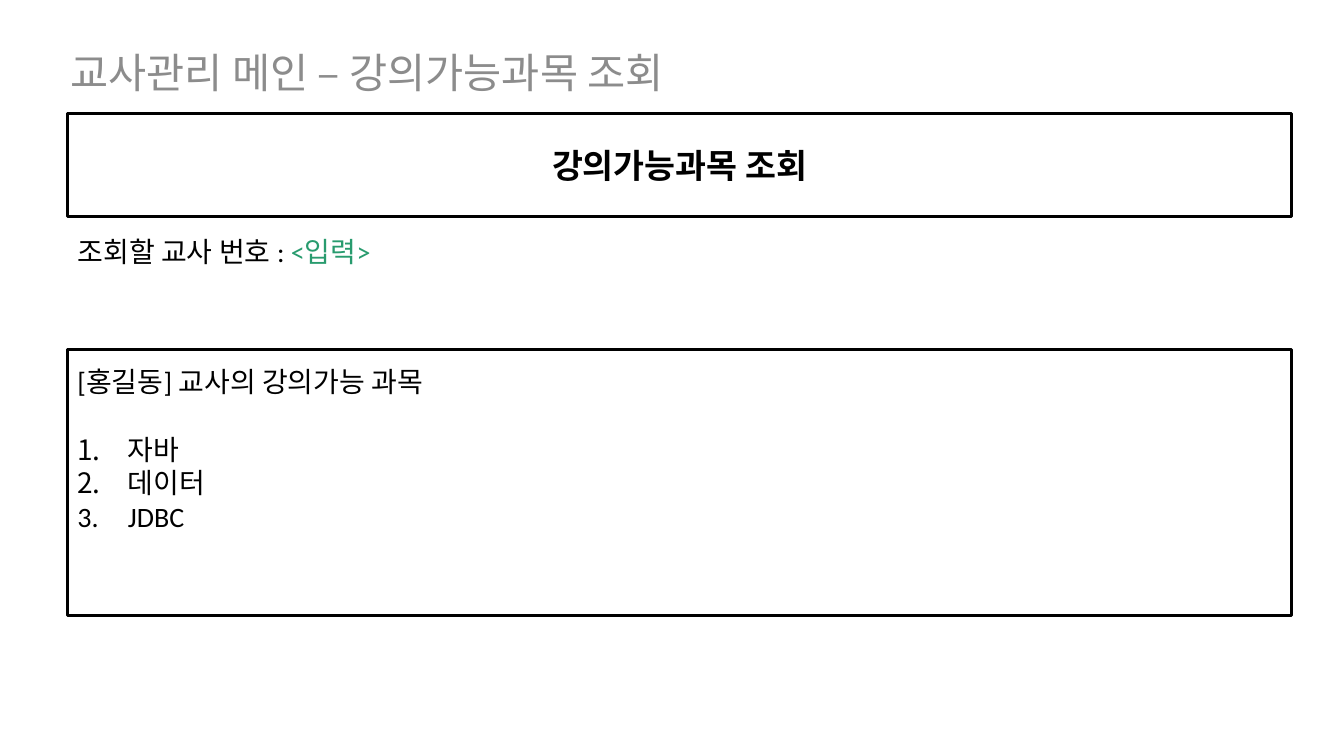
from dataclasses import dataclass

from lxml.etree import SubElement
from pptx import Presentation
from pptx.dml.color import RGBColor
from pptx.enum.shapes import MSO_SHAPE as Shape
from pptx.enum.text import MSO_ANCHOR as Anchor, MSO_AUTO_SIZE as AutoSize, PP_ALIGN as Align
from pptx.oxml.ns import qn
from pptx.util import Pt

PX = 9144  # 100 px to the inch


@dataclass(frozen=True)
class Theme:
    font: str = "Calibri"
    black: RGBColor = RGBColor(0x00, 0x00, 0x00)
    gray: RGBColor = RGBColor(0x8C, 0x8C, 0x8C)
    green: RGBColor = RGBColor(0x28, 0x9B, 0x6E)
    title_size: float = 29.6
    heading_size: int = 24
    body_size: int = 20
    border: float = 2.25


THEME = Theme()


def px(*lengths):
    return [length * PX for length in lengths]


def format_run(run, size, color, bold=False):
    run.font.name = THEME.font
    run.font.size = Pt(size)
    run.font.color.rgb = color
    run.font.bold = bold


def write(paragraph, text, size=THEME.body_size, color=THEME.black, bold=False, align=Align.LEFT):
    paragraph.text = text
    paragraph.alignment = align
    format_run(paragraph.runs[0], size, color, bold)


def number_item(paragraph, indent):
    properties = paragraph._p.get_or_add_pPr()
    properties.set("marL", str(indent * PX))
    properties.set("indent", str(-indent * PX))
    SubElement(properties, qn("a:buFont"), typeface="+mj-lt")
    SubElement(properties, qn("a:buAutoNum"), type="arabicPeriod")


def set_title(slide, text):
    title = slide.shapes.title
    title.left, title.top, title.width, title.height = px(60, 42, 1214, 51)
    frame = title.text_frame
    frame.auto_size = AutoSize.NONE
    frame.vertical_anchor = Anchor.TOP
    write(frame.paragraphs[0], text, THEME.title_size, THEME.gray)


def add_frame(slide, top, height, anchor):
    shape = slide.shapes.add_shape(Shape.RECTANGLE, *px(67, top, 1214, height))
    shape.shadow.inherit = False
    shape.fill.background()
    shape.line.color.rgb = THEME.black
    shape.line.width = Pt(THEME.border)
    shape.text_frame.vertical_anchor = anchor
    return shape.text_frame


def add_prompt(slide, label, field):
    frame = slide.shapes.add_textbox(*px(67, 232, 1181, 83)).text_frame
    frame.word_wrap = True
    paragraph = frame.paragraphs[0]
    write(paragraph, label)
    paragraph.line_spacing = 0.9
    run = paragraph.add_run()
    run.text = field
    format_run(run, THEME.body_size, THEME.green)


def add_subject_list(slide, heading, subjects):
    frame = add_frame(slide, 347, 264, Anchor.TOP)
    frame.margin_top = 15 * PX
    write(frame.paragraphs[0], heading)
    for index, subject in enumerate(subjects):
        paragraph = frame.add_paragraph()
        number_item(paragraph, 50)
        write(paragraph, subject)
        if index == 0:
            paragraph.space_before = Pt(24)


def main():
    presentation = Presentation()
    presentation.slide_width, presentation.slide_height = px(1333, 750)
    slide = presentation.slides.add_slide(presentation.slide_layouts[5])

    # Title and screen heading
    set_title(slide, "교사관리 메인 – 강의가능과목 조회")
    heading = add_frame(slide, 113, 102, Anchor.MIDDLE)
    write(heading.paragraphs[0], "강의가능과목 조회", THEME.heading_size, bold=True, align=Align.CENTER)

    # Input line and result list
    add_prompt(slide, "조회할 교사 번호 : ", "<입력>")
    add_subject_list(slide, "[홍길동] 교사의 강의가능 과목", ["자바", "데이터", "JDBC"])

    presentation.save("out.pptx")


if __name__ == "__main__":
    main()
